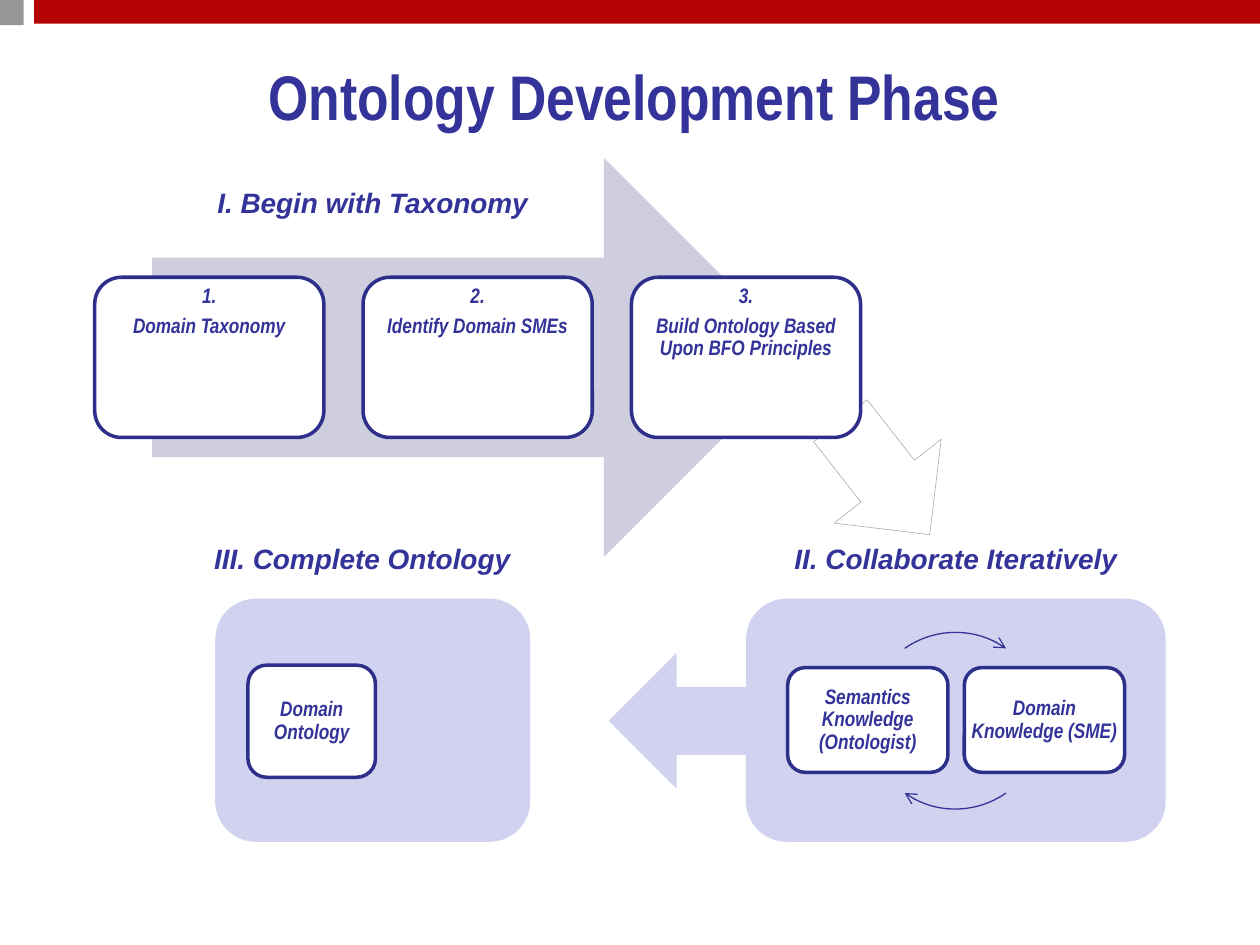
from lxml.etree import SubElement
from pptx import Presentation
from pptx.dml.color import RGBColor
from pptx.enum.shapes import MSO_SHAPE
from pptx.enum.text import MSO_ANCHOR, PP_ALIGN
from pptx.oxml.ns import qn
from pptx.util import Cm, Pt

COLOURS = {
    "red": "B50303",
    "grey": "969696",
    "ink": "333399",
    "border": "2E2E8B",
    "lavender": "D1D1F0",
    "mist": "CECEDE",
    "white": "FFFFFF",
}


def colour(name):
    return RGBColor.from_string(COLOURS[name])


def write_text(frame, text, font="Arial", size=16, italic=True,
               anchor=MSO_ANCHOR.TOP, line_spacing=1.0, space_after=0, inset=None):
    """Write one centred paragraph for each line of text."""
    frame.word_wrap = True
    frame.vertical_anchor = anchor
    if inset is not None:
        frame.margin_left = frame.margin_right = Cm(inset)
        frame.margin_top = frame.margin_bottom = Cm(inset)
    for index, line in enumerate(text.split("\n")):
        paragraph = frame.add_paragraph() if index else frame.paragraphs[0]
        paragraph.alignment = PP_ALIGN.CENTER
        paragraph.line_spacing = line_spacing
        paragraph.space_after = Pt(space_after)
        run = paragraph.add_run()
        run.text = line
        run.font.name = font
        run.font.size = Pt(size)
        run.font.bold = True
        run.font.italic = italic
        run.font.color.rgb = colour("ink")


class OntologySlide:
    """Holds the slide and draws its elements; lengths are in centimetres."""

    def __init__(self, slide):
        self.slide = slide
        self.narrow_font = "Arial Narrow"

    def block(self, preset, x, y, width, height, fill=None, line=None,
              line_width=2, rotation=0):
        shape = self.slide.shapes.add_shape(
            preset, Cm(x), Cm(y), Cm(width), Cm(height))
        shape.shadow.inherit = False
        shape.rotation = rotation
        if fill:
            shape.fill.solid()
            shape.fill.fore_color.rgb = colour(fill)
        else:
            shape.fill.background()
        if line:
            shape.line.color.rgb = colour(line)
            shape.line.width = Pt(line_width)
        else:
            shape.line.fill.background()
        return shape

    def bar(self, x, width, height, fill):
        self.block(MSO_SHAPE.RECTANGLE, x, 0, width, height, fill)

    def arrow(self, x, y, width, height, fill, **style):
        self.block(MSO_SHAPE.RIGHT_ARROW, x, y, width, height, fill, **style)

    def panel(self, x, width):
        self.block(MSO_SHAPE.ROUNDED_RECTANGLE, x, 12.07, width, 4.9, "lavender")

    def card(self, text, x, y, width, height, anchor=MSO_ANCHOR.MIDDLE):
        card = self.block(MSO_SHAPE.ROUNDED_RECTANGLE, x, y, width, height,
                          "white", "border")
        write_text(card.text_frame, text, font=self.narrow_font, size=12,
                   anchor=anchor, line_spacing=0.9, space_after=4.2, inset=0)

    def cycle_arc(self, start, end):
        """Draw part of the cycle circle, with angles in degrees."""
        arc = self.block(MSO_SHAPE.ARC, 17.48, 12.75, 3.56, 3.56,
                         line="ink", line_width=0.75)
        # Arc angles are stored in 60000ths of a degree, adjustments in 100000ths
        arc.adjustments[0] = start * 0.6
        arc.adjustments[1] = end * 0.6
        SubElement(arc.line._get_or_add_ln(), qn("a:tailEnd"), type="arrow")

    def label(self, text, x, y, width, height=0.94, **style):
        box = self.slide.shapes.add_textbox(Cm(x), Cm(y), Cm(width), Cm(height))
        write_text(box.text_frame, text, **style)


def main():
    deck = Presentation()
    deck.slide_width, deck.slide_height = Cm(25.4), Cm(19.05)
    page = OntologySlide(deck.slides.add_slide(deck.slide_layouts[6]))

    # Top band and title
    page.bar(0.69, 24.71, 0.48, "red")
    page.bar(-0.03, 0.51, 0.51, "grey")
    page.label("Ontology Development Phase", 2.92, 0.84, 19.74, 2.18,
               font=page.narrow_font, size=36, italic=False,
               anchor=MSO_ANCHOR.MIDDLE)

    # Phase I: three steps on a wide arrow, leading down to phase II
    page.arrow(16.38, 8.26, 2.92, 2.74, "white", line="grey",
               line_width=0.25, rotation=51.9)
    page.arrow(3.07, 3.18, 13.13, 8.05, "mist")
    steps = ["Domain Taxonomy", "Identify Domain SMEs",
             "Build Ontology Based Upon BFO Principles"]
    for index, step in enumerate(steps):
        page.card(f"{index + 1}.\n{step}", 1.91 + 5.41 * index, 5.59, 4.62, 3.23,
                  anchor=MSO_ANCHOR.TOP)
    page.label("I. Begin with Taxonomy", 2.97, 3.61, 9.09)

    # Phase II: two kinds of knowledge in a cycle
    page.panel(15.04, 8.46)
    roles = ["Semantics Knowledge (Ontologist)", "Domain Knowledge (SME)"]
    for index, role in enumerate(roles):
        page.card(role, 15.88 + 3.56 * index, 13.46, 3.23, 2.11)
    page.cycle_arc(235, 305)
    page.cycle_arc(55, 125)
    page.label("II. Collaborate Iteratively", 15.04, 10.8, 8.46)

    # Phase III: the finished ontology
    page.arrow(12.27, 13.16, 2.92, 2.74, "lavender", rotation=180)
    page.label("III. Complete Ontology", 2.44, 10.8, 9.73)
    page.panel(4.34, 6.35)
    page.card("Domain Ontology", 5.0, 13.41, 2.57, 2.26)

    deck.save("out.pptx")


if __name__ == "__main__":
    main()
